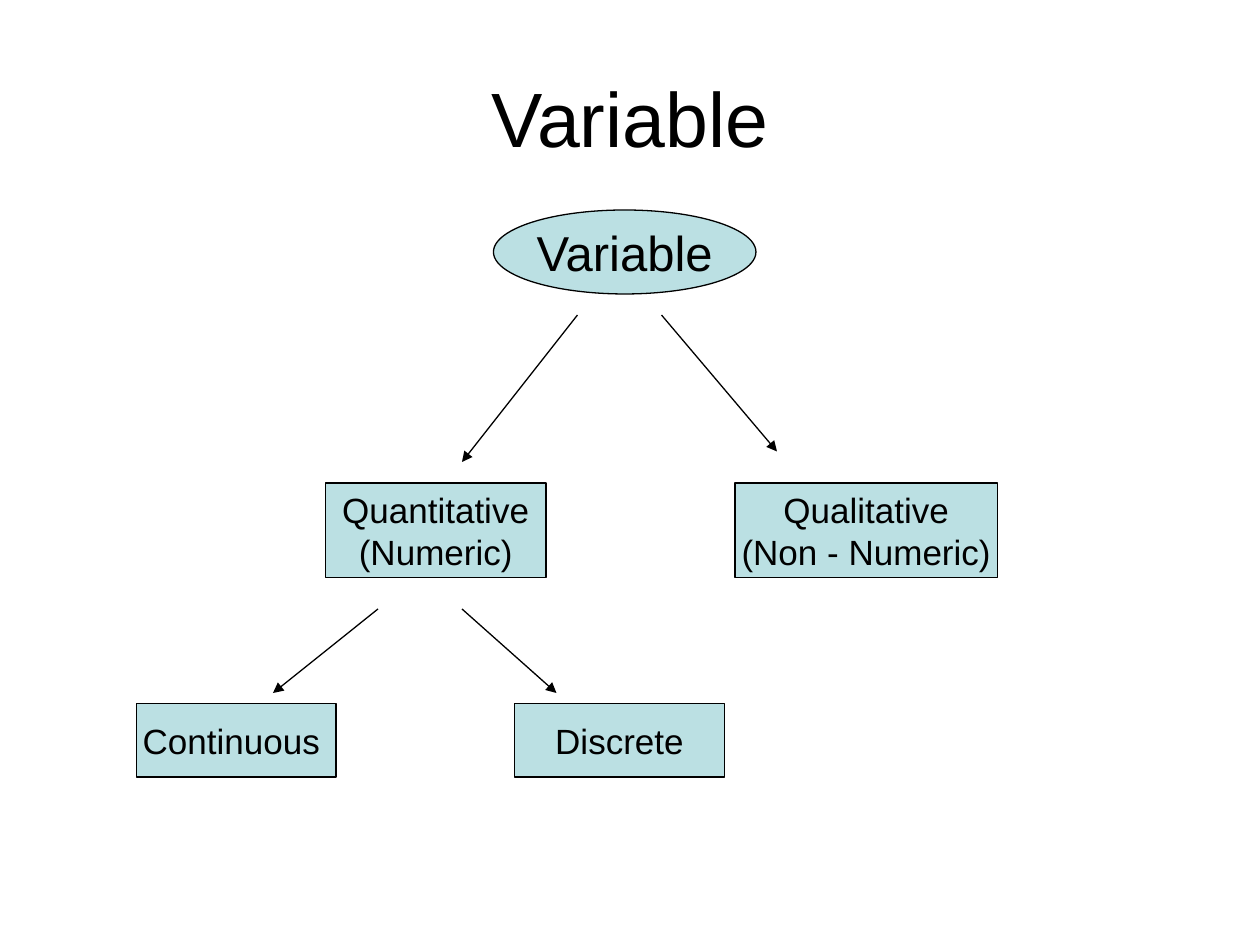
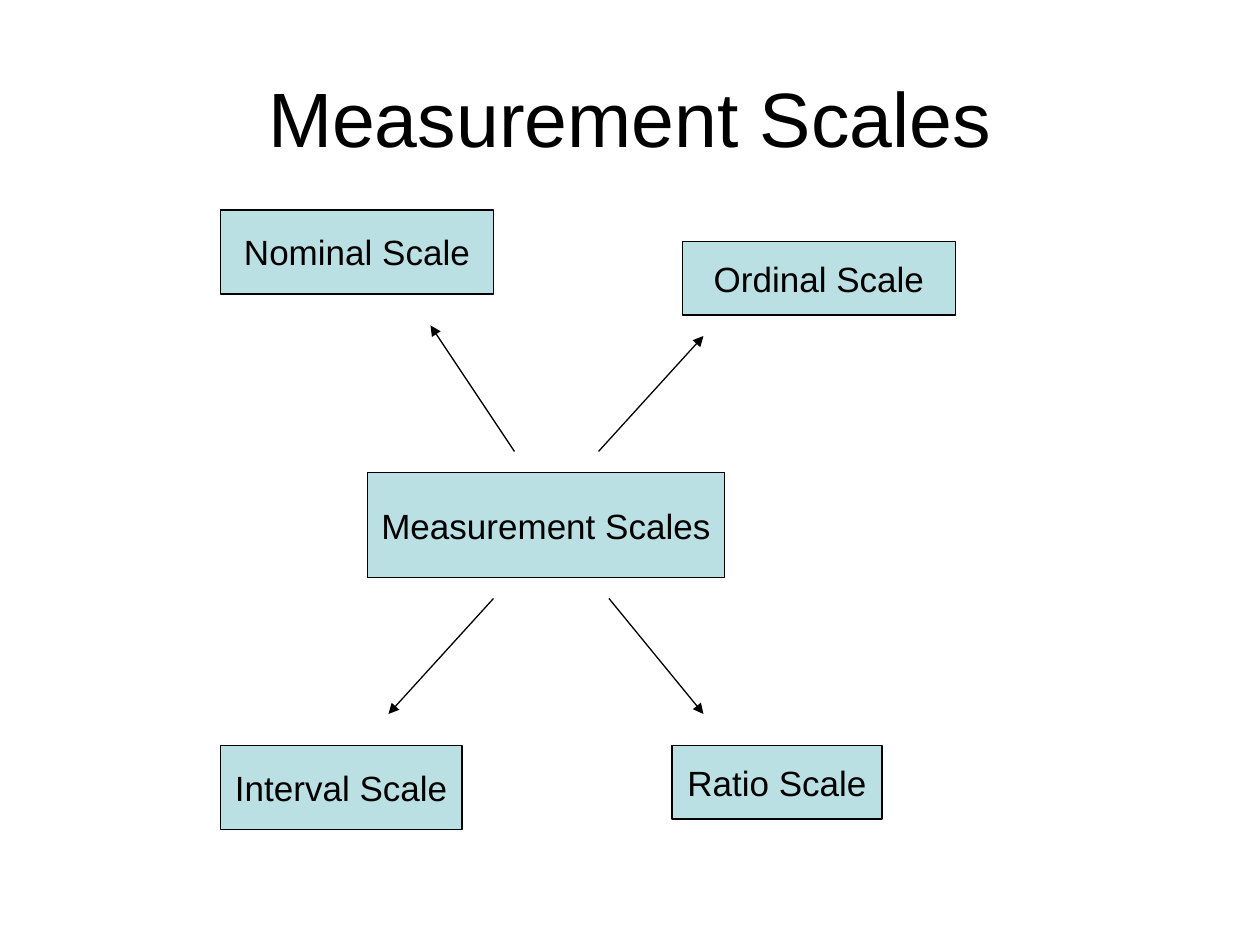
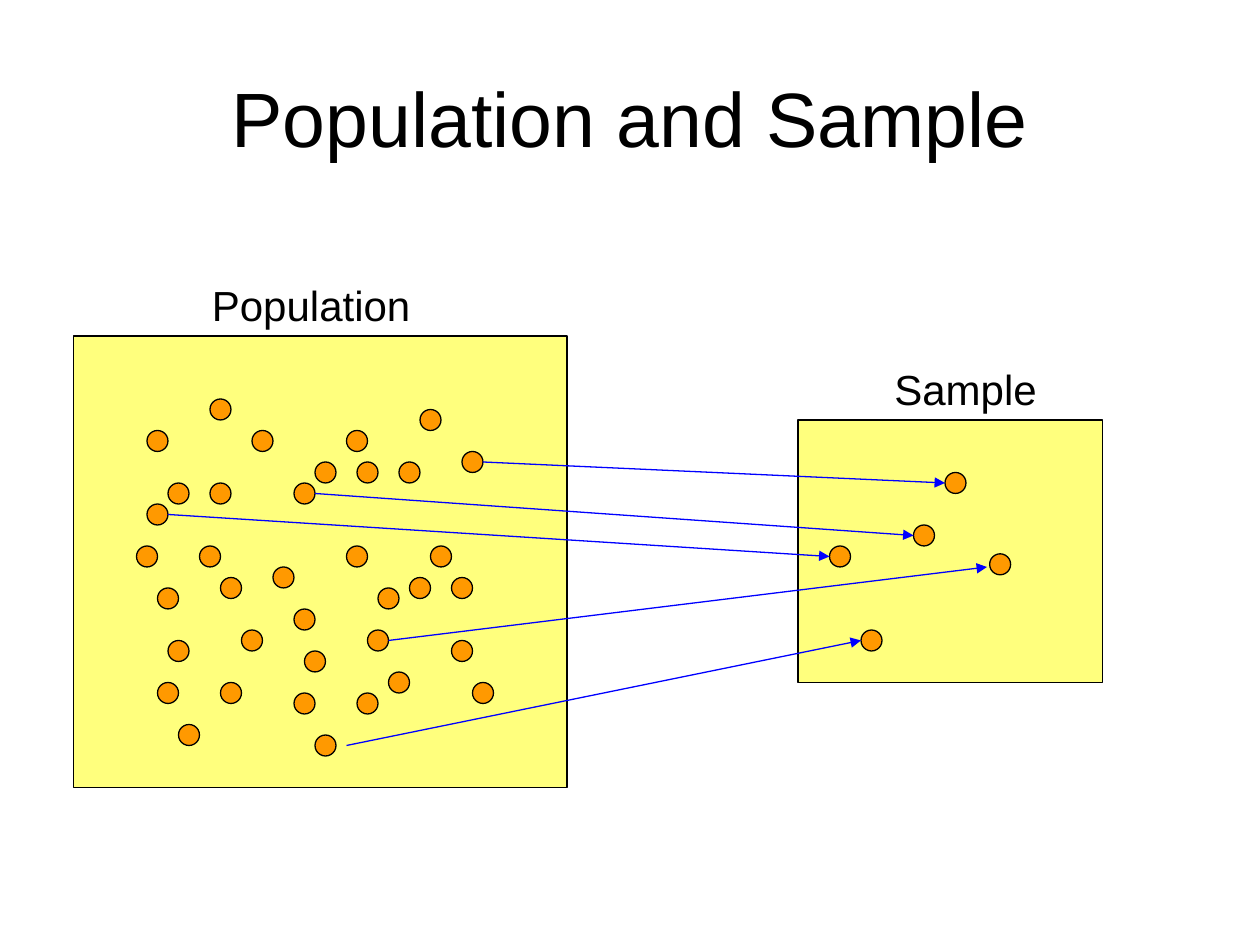
from lxml.etree import SubElement
from pptx import Presentation
from pptx.dml.color import RGBColor
from pptx.enum.shapes import MSO_CONNECTOR, MSO_SHAPE
from pptx.enum.text import MSO_ANCHOR, MSO_AUTO_SIZE, PP_ALIGN
from pptx.oxml.ns import qn
from pptx.util import Pt

PX = 9525  # EMU per px, 96 px to the inch
BLACK = RGBColor(0x00, 0x00, 0x00)
BLUE = RGBColor(0x00, 0x00, 0xFF)
PALE_TEAL = RGBColor(0xBB, 0xE0, 0xE3)
YELLOW = RGBColor(0xFF, 0xFF, 0x7D)
ORANGE = RGBColor(0xFF, 0x99, 0x00)
FONT = "Arial"
LINE_WIDTH = Pt(0.75)
DOT = 16


def write_text(shape, text, size=20, align=PP_ALIGN.CENTER, anchor=MSO_ANCHOR.MIDDLE, wrap=False):
    frame = shape.text_frame
    frame.text = text
    frame.auto_size = MSO_AUTO_SIZE.NONE
    frame.word_wrap = wrap
    frame.vertical_anchor = anchor
    for paragraph in frame.paragraphs:
        paragraph.alignment = align
        paragraph.font.name = FONT
        paragraph.font.size = Pt(size)
        paragraph.font.color.rgb = BLACK


def add_figure(slide, kind, bounds, fill):
    shape = slide.shapes.add_shape(kind, *[value * PX for value in bounds])
    shape.shadow.inherit = False
    shape.fill.solid()
    shape.fill.fore_color.rgb = fill
    shape.line.color.rgb = BLACK
    shape.line.width = LINE_WIDTH
    return shape


# Labelled boxes: left, top, width, height, text
variable_boxes = [
    (248, 368, 168, 72, "Quantitative\n(Numeric)"),
    (560, 368, 200, 72, "Qualitative\n(Non - Numeric)"),
    (104, 536, 152, 56, "Continuous "),
    (392, 536, 160, 56, "Discrete"),
]
scale_boxes = [
    (280, 360, 272, 80, "Measurement Scales"),
    (168, 160, 208, 64, "Nominal Scale"),
    (520, 184, 208, 56, "Ordinal Scale"),
    (168, 568, 184, 64, "Interval Scale"),
    (512, 568, 160, 56, "Ratio Scale"),
]

# Arrows: start x, start y, end x, end y
variable_arrows = [
    (440, 240, 352, 352), (504, 240, 592, 344),
    (288, 464, 208, 528), (352, 464, 424, 528),
]
scale_arrows = [
    (392, 344, 328, 248), (456, 344, 536, 256),
    (376, 456, 296, 544), (464, 456, 536, 544),
]
sampling_arrows = [
    (368, 352, 720, 368), (240, 376, 696, 408), (296, 488, 752, 432),
    (264, 568, 656, 488), (128, 392, 632, 424),
]

# Population and sample: panels, their labels and the dots in them
panels = [(56, 256, 376, 344), (608, 320, 232, 200)]
panel_labels = [(152, 208, 200, 48, "Population"), (672, 272, 128, 48, "Sample")]
population_dots = [
    (112, 328), (128, 368), (160, 368), (272, 352), (224, 368), (168, 440), (264, 416),
    (240, 352), (304, 352), (264, 328), (320, 312), (208, 432), (352, 344), (224, 464),
    (328, 416), (288, 448), (344, 488), (344, 440), (280, 480), (296, 512), (128, 488),
    (168, 520), (184, 480), (120, 520), (136, 552), (192, 328), (112, 384), (152, 416),
    (160, 304), (104, 416), (120, 448), (312, 440), (232, 496), (272, 528), (360, 520),
    (224, 528), (240, 560),
]
sample_dots = [(696, 400), (720, 360), (656, 480), (754, 422), (632, 416)]

presentation = Presentation()
presentation.slide_width = 960 * PX
presentation.slide_height = 720 * PX

for title, boxes, arrows, arrow_color in [
    ("Variable", variable_boxes, variable_arrows, BLACK),
    ("Measurement Scales", scale_boxes, scale_arrows, BLACK),
    ("Population and Sample", [], sampling_arrows, BLUE),
]:
    # Title
    slide = presentation.slides.add_slide(presentation.slide_layouts[5])
    heading = slide.shapes.title
    heading.left, heading.top, heading.width, heading.height = 48 * PX, 29 * PX, 864 * PX, 120 * PX
    write_text(heading, title, size=44, wrap=True)

    # Labelled boxes
    for *bounds, text in boxes:
        write_text(add_figure(slide, MSO_SHAPE.RECTANGLE, bounds, PALE_TEAL), text)

    # Root of the variable tree
    if boxes is variable_boxes:
        root = add_figure(slide, MSO_SHAPE.OVAL, (376, 160, 200, 64), PALE_TEAL)
        write_text(root, "Variable", size=28)

    # Panels, labels and dots
    if arrows is sampling_arrows:
        for bounds in panels:
            add_figure(slide, MSO_SHAPE.RECTANGLE, bounds, YELLOW)
        for *bounds, text in panel_labels:
            label = slide.shapes.add_textbox(*[value * PX for value in bounds])
            write_text(label, text, size=24, align=PP_ALIGN.LEFT, anchor=MSO_ANCHOR.TOP, wrap=True)
        for left, top in population_dots + sample_dots:
            add_figure(slide, MSO_SHAPE.FLOWCHART_CONNECTOR, (left, top, DOT, DOT), ORANGE)

    # Arrows
    for ends in arrows:
        arrow = slide.shapes.add_connector(MSO_CONNECTOR.STRAIGHT, *[value * PX for value in ends])
        arrow.line.color.rgb = arrow_color
        arrow.line.width = LINE_WIDTH
        SubElement(arrow.line._get_or_add_ln(), qn("a:tailEnd"), type="triangle")
        SubElement(arrow._element.spPr, qn("a:effectLst"))

presentation.save("out.pptx")
